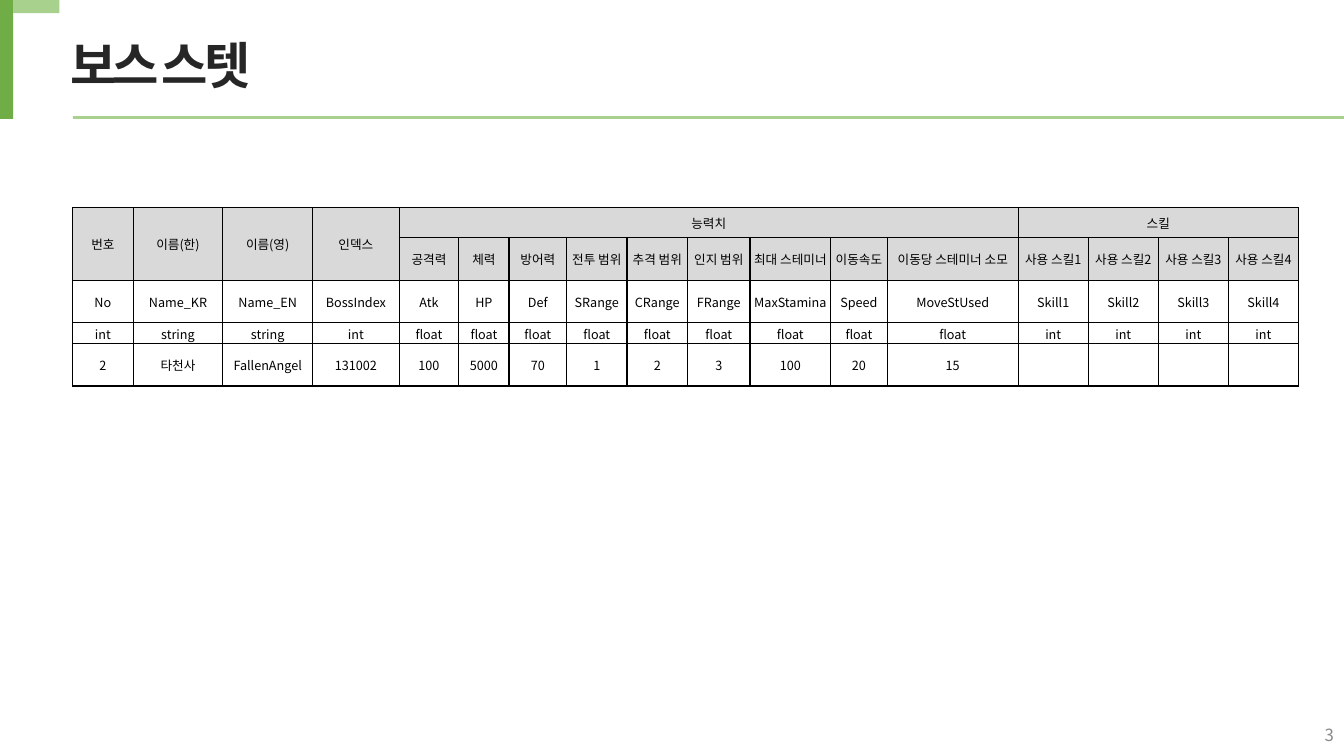
from lxml import etree
from pptx import Presentation
from pptx import util as u
from pptx.dml.color import RGBColor
from pptx.enum import shapes, text
from pptx.oxml import ns

COLORS = {"green": "70AD47", "light": "A9D18E", "title": "262626",
          "number": "888888", "black": "000000", "header": "D9D9D9"}

COLUMN_WIDTHS = [6, 8.9, 8.9, 8.6, 5.9, 5, 5.7, 6, 6, 6.2, 8, 5.6, 13] + [6.95] * 4
ROW_HEIGHTS = [3, 4.2, 4.2, 2.1, 4.2]
STATS = ["공격력", "체력", "방어력", "전투 범위", "추격 범위", "인지 범위",
         "최대 스테미너", "이동속도", "이동당 스테미너 소모"]
IDENTITY = ["번호", "이름(한)", "이름(영)", "인덱스"]
SKILLS = range(1, 5)
BOSS_ROWS = [
    IDENTITY + ["능력치"] + [""] * 8 + ["스킬"] + [""] * 3,
    [""] * 4 + STATS + [f"사용 스킬{n}" for n in SKILLS],
    ["No", "Name_KR", "Name_EN", "BossIndex", "Atk", "HP", "Def", "SRange", "CRange",
     "FRange", "MaxStamina", "Speed", "MoveStUsed"] + [f"Skill{n}" for n in SKILLS],
    ["int", "string", "string", "int"] + ["float"] * 9 + ["int"] * 4,
    ["2", "타천사", "FallenAngel", "131002", "100", "5000", "70", "1", "2", "3",
     "100", "20", "15"] + [""] * 4,
]
MERGES = [(0, c, 1, c) for c in range(4)] + [(0, 4, 0, 12), (0, 13, 0, 16)]
HEADER_ROWS = 2


class Sheet:
    """Draws styled elements on one slide, on a grid of tenth-inch columns and rows."""

    font = "Noto Sans CJK KR"
    unit = u.Inches(0.1)

    def __init__(self, slide):
        self.slide = slide

    def grid(self, *lengths):
        return [u.Emu(round(length * self.unit)) for length in lengths]

    def color(self, name):
        return RGBColor.from_string(COLORS[name])

    def style(self, para, size, color, align, bold=False, spacing=None):
        para.alignment = align
        for span in para.runs:
            span.font.size = u.Pt(size)
            span.font.bold = bold
            span.font.color.rgb = self.color(color)
            span.font.name = self.font
            props = span.font._element
            etree.SubElement(props, ns.qn("a:ea"), typeface=self.font)
            if spacing is not None:
                props.set("spc", str(spacing * 100))

    def bar(self, left, top, width, height, color):
        box = self.slide.shapes.add_shape(
            shapes.MSO_SHAPE.RECTANGLE, *self.grid(left, top, width, height))
        box.shadow.inherit = False
        box.fill.solid()
        box.fill.fore_color.rgb = self.color(color)
        box.line.fill.background()

    def rule(self, left, right, top, color, weight):
        line = self.slide.shapes.add_connector(
            shapes.MSO_CONNECTOR.STRAIGHT, *self.grid(left, top, right, top))
        line.line.color.rgb = self.color(color)
        line.line.width = u.Pt(weight)
        etree.SubElement(line._element.spPr, ns.qn("a:effectLst"))

    def label(self, left, top, width, height, words, size, color,
              align=text.PP_ALIGN.LEFT, anchor=text.MSO_ANCHOR.TOP, **extras):
        box = self.slide.shapes.add_textbox(*self.grid(left, top, width, height))
        frame = box.text_frame
        frame.word_wrap = True
        frame.vertical_anchor = anchor
        frame.text = words
        self.style(frame.paragraphs[0], size, color, align, **extras)

    def border(self, cell, color, weight):
        props = cell._tc.get_or_add_tcPr()
        for side in ("lnL", "lnR", "lnT", "lnB"):
            line = etree.SubElement(props, ns.qn(f"a:{side}"), w=str(u.Pt(weight)))
            fill = etree.SubElement(line, ns.qn("a:solidFill"))
            etree.SubElement(fill, ns.qn("a:srgbClr"), val=COLORS[color])

    def table(self, left, top, widths, heights, rows, merges, header_rows):
        frame = self.slide.shapes.add_table(
            len(rows), len(widths), *self.grid(left, top, sum(widths), sum(heights)))
        table = frame.table
        table.first_row = table.horz_banding = False
        for column, width in zip(table.columns, self.grid(*widths)):
            column.width = width
        for row, height in zip(table.rows, self.grid(*heights)):
            row.height = height
        for r, words in enumerate(rows):
            for c, word in enumerate(words):
                self.cell(table.cell(r, c), word, r < header_rows)
        for r1, c1, r2, c2 in merges:
            table.cell(r1, c1).merge(table.cell(r2, c2))

    def cell(self, cell, word, is_header):
        cell.text = word
        cell.vertical_anchor = text.MSO_ANCHOR.MIDDLE
        cell.margin_left = cell.margin_right = cell.margin_top = u.Inches(0.01)
        cell.margin_bottom = 0
        self.border(cell, "black", 1)
        if is_header:
            cell.fill.solid()
            cell.fill.fore_color.rgb = self.color("header")
        else:
            cell.fill.background()
        self.style(cell.text_frame.paragraphs[0], 9, "black", text.PP_ALIGN.CENTER)


def main():
    deck = Presentation()
    deck.slide_width, deck.slide_height = u.Inches(13.33), u.Inches(7.5)
    page = Sheet(deck.slides.add_slide(deck.slide_layouts[6]))
    page.label(103.3, 70.9, 30, 4, "3", 12, "number",
               text.PP_ALIGN.RIGHT, text.MSO_ANCHOR.MIDDLE)
    page.table(7.2, 20.6, COLUMN_WIDTHS, ROW_HEIGHTS, BOSS_ROWS, MERGES, HEADER_ROWS)
    page.rule(7.2, 133.3, 11.7, "light", 2.25)
    page.bar(0, 0, 1.3, 11.8, "green")
    page.bar(1.3, 0, 4.6, 1.3, "light")
    page.label(6, 2.9, 103.7, 7.1, "보스 스텟", 36, "title", bold=True, spacing=-3)
    deck.save("out.pptx")


if __name__ == "__main__":
    main()
